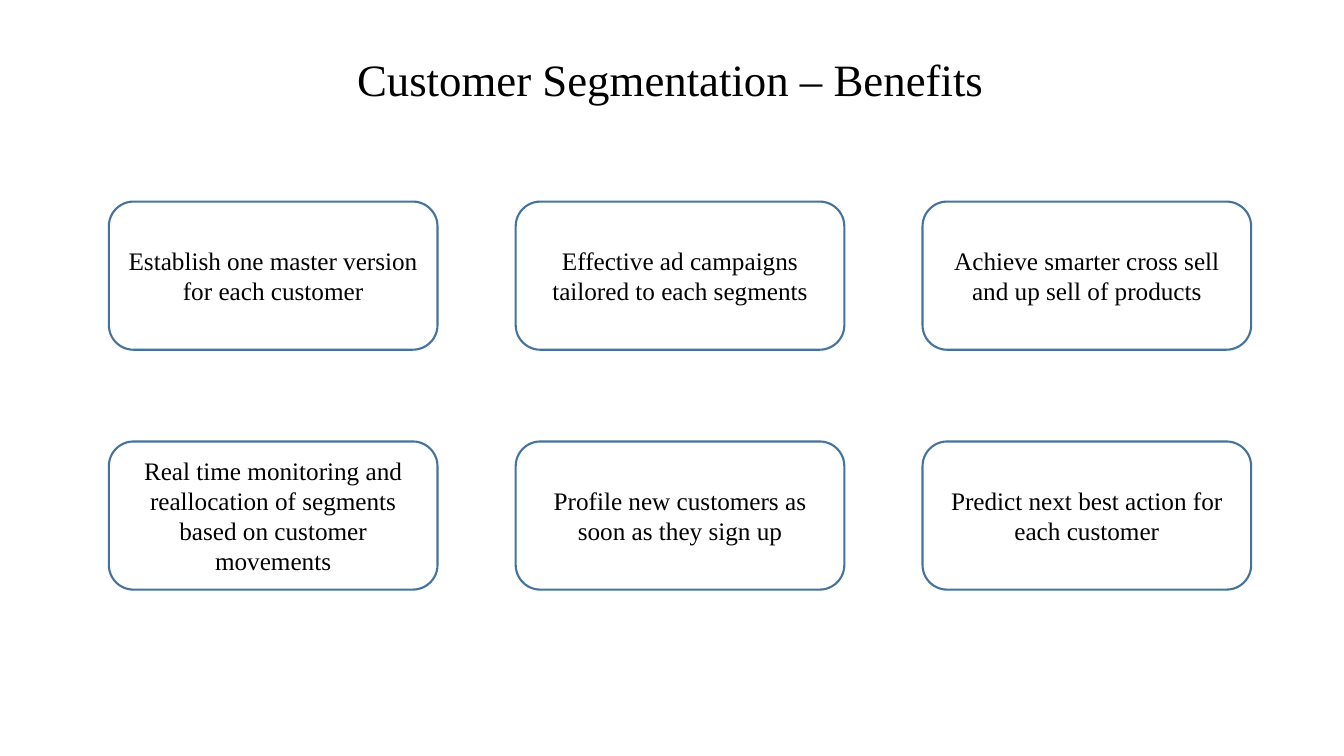
import pptx
import pptx.util
import pptx.dml.color
import pptx.enum.shapes
import pptx.enum.text

Inches = pptx.util.Inches
BLACK = pptx.dml.color.RGBColor(0x00, 0x00, 0x00)
BLUE = pptx.dml.color.RGBColor(0x43, 0x73, 0x9E)

BENEFITS = [
    [
        "Establish one master version for each customer",
        "Effective ad campaigns tailored to each segments",
        "Achieve smarter cross sell and up sell of products",
    ],
    [
        "Real time monitoring and reallocation of segments based on customer movements",
        "Profile new customers as soon as they sign up",
        "Predict next best action for each customer",
    ],
]
LEFT, TOP = 1.08, 2
COLUMN_STEP, ROW_STEP = 4.035, 2.38


def write_centred(shape, text, size):
    frame = shape.text_frame
    frame.word_wrap = True
    frame.vertical_anchor = pptx.enum.text.MSO_ANCHOR.MIDDLE
    para = frame.paragraphs[0]
    para.text = text
    para.alignment = pptx.enum.text.PP_ALIGN.CENTER
    para.font.name = "Times New Roman"
    para.font.size = pptx.util.Pt(size)
    para.font.color.rgb = BLACK
    return para


deck = pptx.Presentation()
deck.slide_width = Inches(13.33)
deck.slide_height = Inches(7.5)
page = deck.slides.add_slide(deck.slide_layouts[6])

title = page.shapes.add_textbox(Inches(0.9), Inches(0.3), Inches(11.5), Inches(1.03))
write_centred(title, "Customer Segmentation – Benefits", 32).line_spacing = 0.9

for row, benefits in enumerate(BENEFITS):
    for column, benefit in enumerate(benefits):
        box = page.shapes.add_shape(
            pptx.enum.shapes.MSO_SHAPE.ROUNDED_RECTANGLE,
            Inches(LEFT + column * COLUMN_STEP),
            Inches(TOP + row * ROW_STEP),
            Inches(3.26),
            Inches(1.47),
        )
        box.shadow.inherit = False
        box.fill.background()
        box.line.color.rgb = BLUE
        box.line.width = pptx.util.Pt(1.5)
        write_centred(box, benefit, 18)

deck.save("out.pptx")
